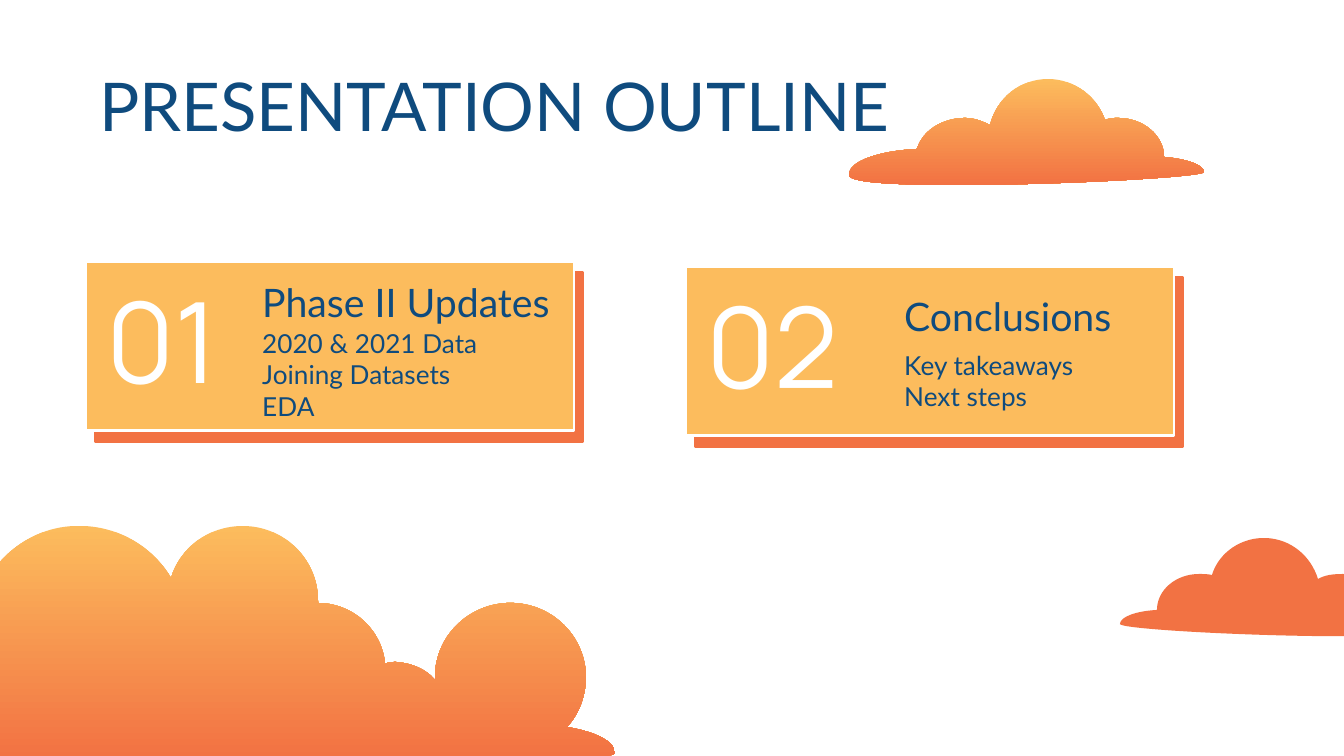
from dataclasses import dataclass

from lxml import etree
from pptx import Presentation
from pptx import util as u
from pptx.dml.color import RGBColor
from pptx.enum import shapes, text
from pptx.oxml.ns import qn

EMU_PER_PX = 914400 / 134.4


@dataclass(frozen=True)
class Theme:
    navy: str = "0F4B7E"
    amber: str = "FCBC5D"
    orange: str = "F27243"
    white: str = "FFFFFF"
    body_font: str = "Lato"
    number_font: str = "Manrope"
    title_size: int = 36
    heading_size: int = 21
    body_size: int = 14
    number_size: int = 60


THEME = Theme()

# Each cloud is a start point, then lines (x, y) and curves (x1, y1, x2, y2, x, y).
LARGE_CLOUD = [
    (567, 727),
    (579, 714, 586, 696, 586, 676), (585, 637, 554, 605, 514, 603),
    (472, 601, 435, 634, 435, 677), (435, 680),
    (426, 669, 411, 663, 396, 662), (392, 662, 388, 662, 385, 664),
    (382, 629, 352, 603, 318, 603), (318, 601),
    (318, 559, 284, 526, 243, 526), (208, 526, 180, 548, 171, 578),
    (152, 546, 116, 524, 74, 526), (22, 528, -22, 571, -26, 622),
    (-27, 637, -26, 652, -22, 664), (-39, 672, -51, 688, -51, 708),
    (-51, 720, -46, 731, -39, 741), (-78, 743, -105, 750, -105, 758),
    (-105, 769, 616, 770, 615, 753), (615, 742, 597, 732, 567, 727),
]
TOP_CLOUD = [
    (1048, 79),
    (1020, 79, 997, 98, 990, 125), (982, 121, 974, 118, 965, 118),
    (941, 118, 922, 132, 917, 149), (879, 151, 849, 161, 849, 175),
    (849, 183, 898, 185, 958, 185), (1063, 185, 1204, 177, 1204, 172),
    (1204, 165, 1187, 159, 1164, 157), (1164, 136, 1144, 118, 1118, 118),
    (1114, 118, 1110, 118, 1105, 120), (1097, 97, 1075, 79, 1048, 79),
]
RIGHT_CLOUD = [
    (1157, 610),
    (1157, 590, 1176, 574, 1199, 574), (1203, 574, 1208, 574, 1212, 575),
    (1219, 552, 1242, 537, 1266, 538), (1291, 539, 1311, 556, 1318, 579),
    (1325, 575, 1333, 574, 1343, 574), (1363, 574, 1380, 586, 1386, 602),
    (1420, 603, 1449, 614, 1449, 626), (1449, 646, 1120, 632, 1120, 624),
    (1120, 617, 1136, 611, 1157, 610),
]


def px(*lengths):
    return [u.Emu(round(length * EMU_PER_PX)) for length in lengths]


def rgb(value):
    return RGBColor.from_string(value)


def curve_segments(cloud, outline):
    """Turn the straight segments of a freeform into the curves of its outline."""
    left = min(step[-2] for step in outline)
    top = min(step[-1] for step in outline)
    lines = list(cloud._element.iter(qn("a:lnTo")))
    for line, step in zip(lines, outline[1:]):
        if len(step) == 2:
            continue
        curve = etree.Element(qn("a:cubicBezTo"))
        for x, y in zip(step[::2], step[1::2]):
            etree.SubElement(curve, qn("a:pt"), x=str(x - left), y=str(y - top))
        line.getparent().replace(line, curve)


def add_cloud(slide, outline, colors):
    """Draw a cloud in one colour, or in a gradient from top to bottom."""
    builder = slide.shapes.build_freeform(*outline[0], scale=EMU_PER_PX)
    builder.add_line_segments([step[-2:] for step in outline[1:]], close=True)
    cloud = builder.convert_to_shape()
    curve_segments(cloud, outline)
    cloud.shadow.inherit = False
    cloud.line.fill.background()
    if len(colors) == 1:
        cloud.fill.solid()
        cloud.fill.fore_color.rgb = rgb(colors[0])
        return
    cloud.fill.gradient()
    cloud.fill.gradient_angle = 270
    for stop, color in zip(cloud.fill.gradient_stops, colors):
        stop.color.rgb = rgb(color)


def add_text(slide, box, lines, size, font=THEME.body_font, color=THEME.navy,
             anchor=text.MSO_ANCHOR.MIDDLE):
    frame = slide.shapes.add_textbox(*px(*box)).text_frame
    inset = u.Inches(0.1)
    frame_format = {
        "word_wrap": True, "vertical_anchor": anchor,
        "margin_left": inset, "margin_right": inset,
        "margin_top": inset, "margin_bottom": inset,
    }
    for name, value in frame_format.items():
        setattr(frame, name, value)
    for index, line in enumerate(lines):
        paragraph = frame.add_paragraph() if index else frame.paragraphs[0]
        run = paragraph.add_run()
        run.text = line
        run.font.name = font
        run.font.size = u.Pt(size)
        run.font.color.rgb = rgb(color)


def add_hard_shadow(shape, color):
    shape.shadow.inherit = False
    effects = shape._element.spPr.find(qn("a:effectLst"))
    shadow = etree.SubElement(
        effects, qn("a:outerShdw"), blurRad="0", dist=str(u.Pt(7.5)),
        dir=str(50 * 60000), algn="bl", rotWithShape="0")
    etree.SubElement(shadow, qn("a:srgbClr"), val=color)


def add_card(slide, left, top, number):
    card = slide.shapes.add_shape(
        shapes.MSO_SHAPE.RECTANGLE, *px(left, top, 488, 169))
    card.fill.solid()
    card.fill.fore_color.rgb = rgb(THEME.amber)
    card.line.color.rgb = rgb(THEME.white)
    card.line.width = u.Pt(1.5)
    add_hard_shadow(card, THEME.orange)
    add_text(slide, (left + 7, top - 4, 181, 172), [number], THEME.number_size,
             THEME.number_font, THEME.white, text.MSO_ANCHOR.TOP)


def main():
    prs = Presentation()
    prs.slide_width, prs.slide_height = px(1344, 756)
    slide = prs.slides.add_slide(prs.slide_layouts[6])

    sunset = (THEME.amber, THEME.orange)
    add_cloud(slide, LARGE_CLOUD, sunset)
    add_cloud(slide, TOP_CLOUD, sunset)
    add_cloud(slide, RIGHT_CLOUD, (THEME.orange,))

    add_text(slide, (86, 50, 1133, 109), ["PRESENTATION OUTLINE"], THEME.title_size)

    sections = [
        ("01", (86, 262), "Phase II Updates", (249, 263, 356, 78),
         ["2020 & 2021 Data", "Joining Datasets", "EDA"], (249, 339, 282, 71)),
        ("02", (686, 267), "Conclusions", (891, 277, 282, 78),
         ["Key takeaways", "Next steps"], (891, 345, 282, 71)),
    ]
    for number, corner, heading, heading_box, topics, topics_box in sections:
        add_card(slide, *corner, number)
        add_text(slide, heading_box, [heading], THEME.heading_size)
        add_text(slide, topics_box, topics, THEME.body_size)

    prs.save("out.pptx")


if __name__ == "__main__":
    main()
